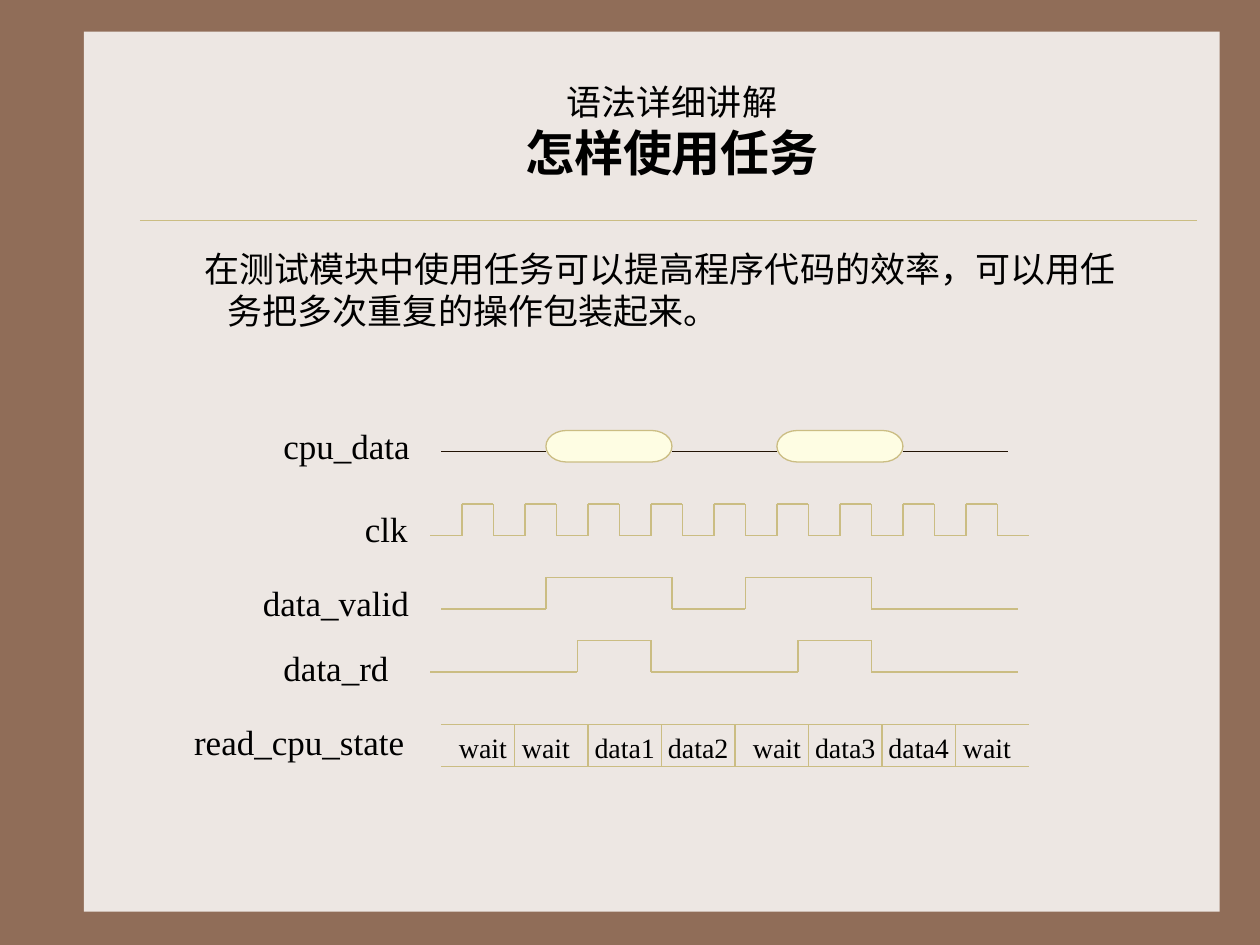
from lxml import etree
from pptx import Presentation
from pptx.dml.color import RGBColor
from pptx.enum import shapes, text
from pptx.oxml import ns
from pptx.util import Pt

BROWN = RGBColor(0x90, 0x6D, 0x58)
PANEL = RGBColor(0xED, 0xE7, 0xE3)
GOLD = RGBColor(0xCB, 0xBD, 0x83)
CREAM = RGBColor(0xFE, 0xFD, 0xE3)
DARK = RGBColor(0x22, 0x13, 0x04)
BLACK = RGBColor(0, 0, 0)
CHINESE = "Noto Sans CJK SC"
LATIN = "Times New Roman"
CENTER, LEFT, RIGHT = text.PP_ALIGN.CENTER, text.PP_ALIGN.LEFT, text.PP_ALIGN.RIGHT

TITLE = "语法详细讲解\v怎样使用任务"
BODY = "在测试模块中使用任务可以提高程序代码的效率，可以用任务把多次重复的操作包装起来。"

SIGNAL_LABELS = [
    ("cpu_data", 150, 239, 96, CENTER),
    ("clk", 144, 286.5, 96, RIGHT),
    ("data_valid", 138, 329, 108, CENTER),
    ("data_rd", 144, 366, 96, CENTER),
    ("read_cpu_state", 96, 408, 150, CENTER),
]
WAVES = [
    {"start": 246, "edges": range(264, 571, 18), "end": 588, "high": 288},
    {"start": 252, "edges": [312, 384, 426, 498], "end": 582, "high": 330},
    {"start": 246, "edges": [330, 372, 456, 498], "end": 582, "high": 366},
]
WAVE_HEIGHT = 18
BUS_LINES = [(252, 312), (384, 444), (516, 576)]
BUS_LINE_Y, BUS_TOP = 258, 246
STATES = [
    ("wait", 252, 48), ("wait", 288, 48), ("data1", 330, 54), ("data2", 372, 54),
    ("wait", 420, 48), ("data3", 456, 54), ("data4", 498, 54), ("wait", 540, 48),
]
STATE_LEFT, STATE_STEP, STATE_TOP, STATE_BOTTOM = 252, 42, 414, 438


def add_line(slide, x1, y1, x2, y2, color=GOLD, width=0.75):
    line = slide.shapes.add_connector(
        shapes.MSO_CONNECTOR.STRAIGHT, Pt(x1), Pt(y1), Pt(x2), Pt(y2))
    line.line.color.rgb = color
    line.line.width = Pt(width)
    etree.SubElement(line.element.spPr, ns.qn("a:effectLst"))
    return line


def add_block(slide, kind, left, top, width, height, fill):
    shape = slide.shapes.add_shape(kind, Pt(left), Pt(top), Pt(width), Pt(height))
    shape.shadow.inherit = False
    shape.fill.solid()
    shape.fill.fore_color.rgb = fill
    return shape


def format_run(run, size, font, bold=False):
    run.font.size = Pt(size)
    run.font.bold = bold
    run.font.color.rgb = BLACK
    run.font.name = font
    east_asian = etree.SubElement(run.font._element, ns.qn("a:ea"))
    east_asian.set("typeface", font)


def add_text(slide, content, left, top, width, height, size, font, align):
    box = slide.shapes.add_textbox(Pt(left), Pt(top), Pt(width), Pt(height))
    frame = box.text_frame
    frame.word_wrap = True
    frame.text = content
    paragraph = frame.paragraphs[0]
    paragraph.alignment = align
    format_run(paragraph.runs[0], size, font)
    return box


def draw_frame(slide):
    slide.background.fill.solid()
    slide.background.fill.fore_color.rgb = BROWN
    panel = add_block(slide, shapes.MSO_SHAPE.RECTANGLE, 48, 18, 649, 503, PANEL)
    panel.line.fill.background()
    rule = add_line(slide, 80, 126, 684, 126, width=0.25)
    for backdrop in (panel, rule):
        slide.shapes.title.element.addprevious(backdrop.element)


def write_title(slide):
    title = slide.shapes.title
    title.left, title.top, title.width, title.height = Pt(84), Pt(30), Pt(600), Pt(90)
    frame = title.text_frame
    frame.text = TITLE
    frame.auto_size = text.MSO_AUTO_SIZE.NONE
    frame.vertical_anchor = text.MSO_ANCHOR.MIDDLE
    paragraph = frame.paragraphs[0]
    paragraph.alignment = CENTER
    for run, size, bold in zip(paragraph.runs, (20, 28), (False, True)):
        format_run(run, size, CHINESE, bold)


def write_body(slide):
    box = add_text(slide, BODY, 96, 138, 552, 66, 20, CHINESE, LEFT)
    properties = box.text_frame.paragraphs[0]._p.get_or_add_pPr()
    properties.set("marL", str(Pt(27)))
    properties.set("indent", str(Pt(-13.5)))


def draw_bus(slide):
    for start, end in BUS_LINES:
        add_line(slide, start, BUS_LINE_Y, end, BUS_LINE_Y, DARK)
    for (_, left), (right, _) in zip(BUS_LINES, BUS_LINES[1:]):
        pulse = add_block(slide, shapes.MSO_SHAPE.FLOWCHART_TERMINATOR,
                          left, BUS_TOP, right - left, WAVE_HEIGHT, CREAM)
        pulse.line.color.rgb = GOLD
        pulse.line.width = Pt(0.75)


def draw_wave(slide, wave):
    high, low = wave["high"], wave["high"] + WAVE_HEIGHT
    stops = [wave["start"], *wave["edges"], wave["end"]]
    for index, (left, right) in enumerate(zip(stops, stops[1:])):
        level = high if index % 2 else low
        add_line(slide, left, level, right, level)
    for edge in wave["edges"]:
        add_line(slide, edge, high, edge, low)


def draw_states(slide):
    for index in range(len(STATES)):
        left = STATE_LEFT + index * STATE_STEP
        for y in (STATE_TOP, STATE_BOTTOM):
            add_line(slide, left, y, left + STATE_STEP, y)
        if index:
            add_line(slide, left, STATE_TOP, left, STATE_BOTTOM)
    for name, left, width in STATES:
        add_text(slide, name, left, STATE_TOP, width, 26.5, 16, LATIN, CENTER)


def main():
    presentation = Presentation()
    presentation.slide_width, presentation.slide_height = Pt(720), Pt(540)
    slide = presentation.slides.add_slide(presentation.slide_layouts[5])
    draw_frame(slide)
    write_title(slide)
    write_body(slide)
    draw_bus(slide)
    for wave in WAVES:
        draw_wave(slide, wave)
    draw_states(slide)
    for name, left, top, width, align in SIGNAL_LABELS:
        add_text(slide, name, left, top, width, 31.5, 20, LATIN, align)
    presentation.save("out.pptx")


if __name__ == "__main__":
    main()
